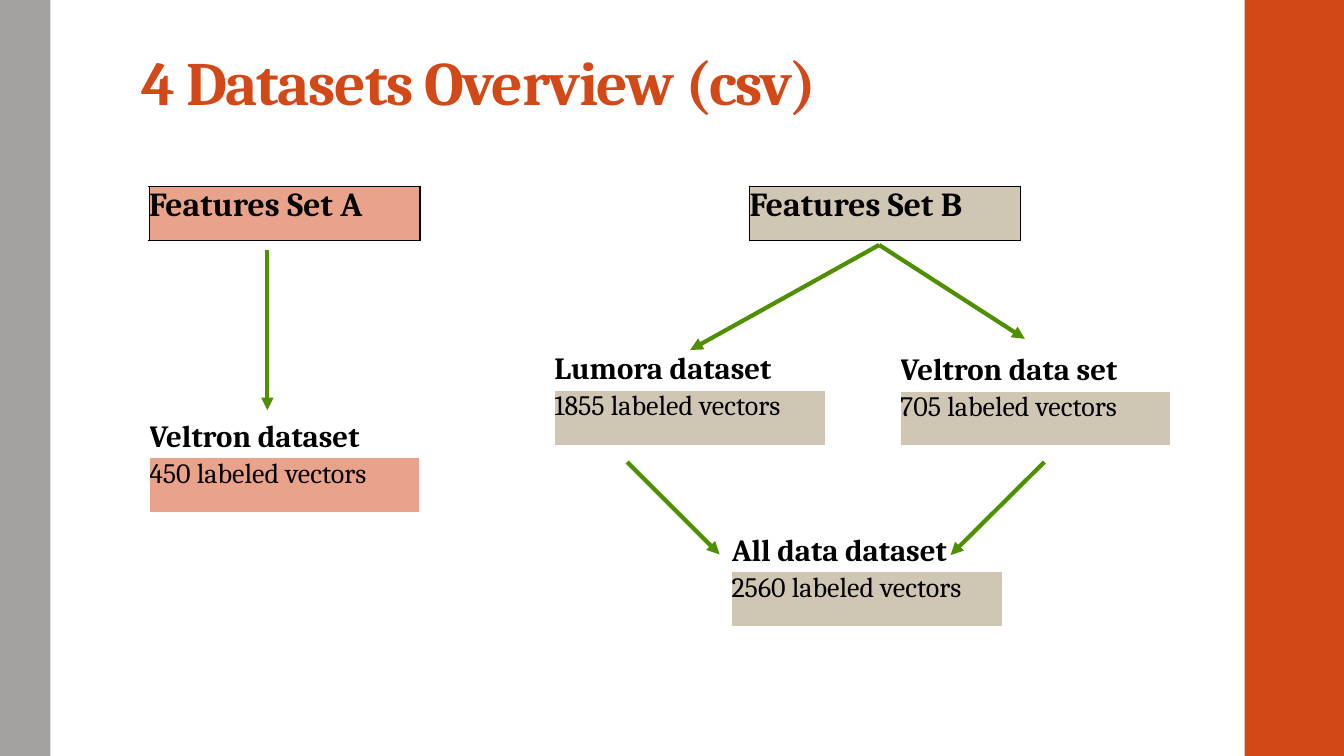
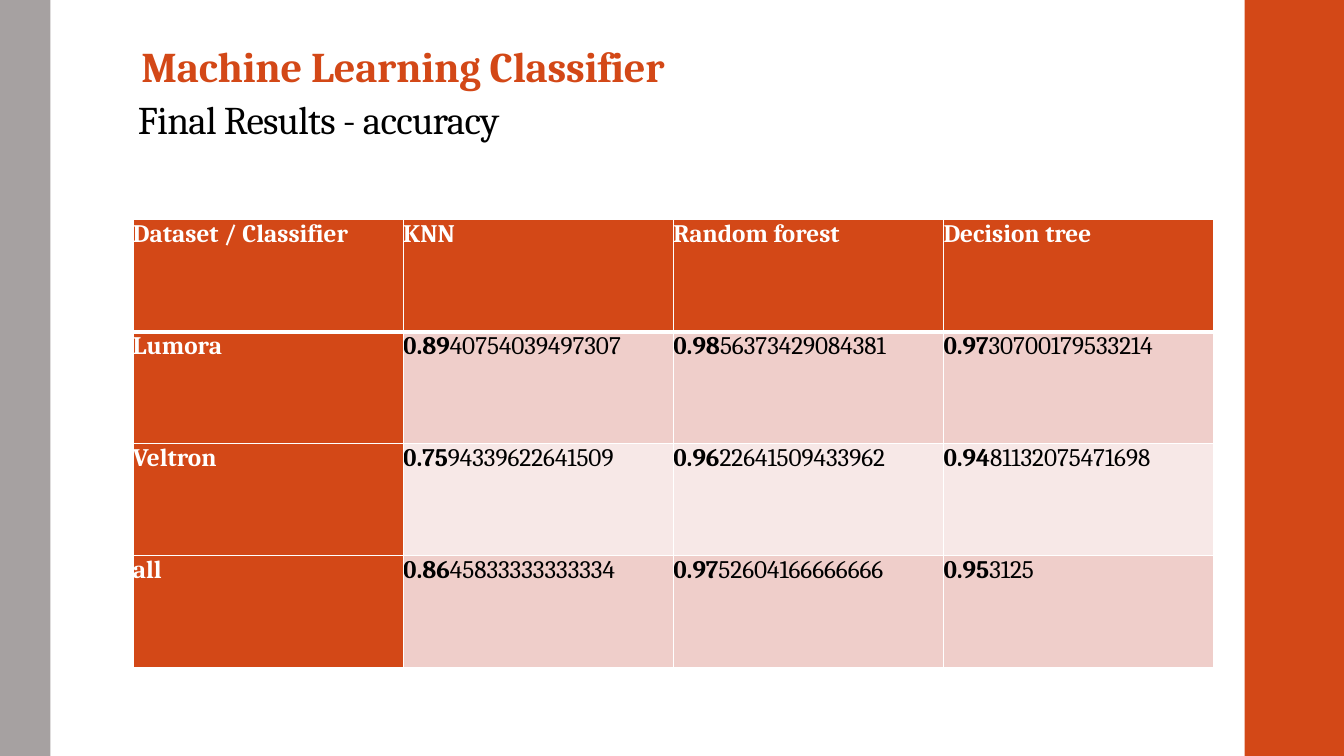
import pptx
import pptx.dml.color
import pptx.enum.shapes
import pptx.enum.text
import pptx.oxml
import pptx.oxml.ns
import pptx.util
from dataclasses import dataclass

Pt = pptx.util.Pt


@dataclass(frozen=True)
class Theme:
    font: str = "Cambria"
    accent: str = "D34817"
    side: str = "A6A1A1"
    ink: str = "000000"
    white: str = "FFFFFF"
    salmon: str = "E9A38B"
    sand: str = "D0C6B4"
    arrow: str = "4F8F00"
    band_dark: str = "EFCECA"
    band_light: str = "F7E8E7"
    title: float = 44
    small_title: float = 30.2
    subtitle: float = 28
    feature_set: float = 24
    dataset: float = 22
    count: float = 20
    results: float = 18


T = Theme()
WIDTH, HEIGHT = 960, 540

BANDS = [(889, 71, T.accent), (0, 36, T.side)]  # left, width, colour

BOX_W, BOX_H, LABEL_H = 193.5, 39, 27.5
FEATURE_SETS = [
    ("Features Set A", 106.5, 133, T.salmon),
    ("Features Set B", 535.5, 133, T.sand),
]
DATASETS = [
    ("Veltron dataset", "450 labeled vectors", 106.5, 299.5, T.salmon),
    ("Lumora dataset", "1855 labeled vectors", 396, 251.5, T.sand),
    ("Veltron data set", "705 labeled vectors", 643, 252, T.sand),
    ("All data dataset", "2560 labeled vectors", 522.5, 381, T.sand),
]
ARROWS = [
    (628, 175, 493, 250),
    (628, 175, 732, 242),
    (746, 330, 679, 396.5),
    (448, 330, 514, 396),
    (191, 178.5, 191, 293),
]

RESULTS_X, RESULTS_Y, RESULTS_COL, RESULTS_ROW = 95, 157, 193, 80
BOLD_CHARS = 4  # leading characters of each accuracy shown in bold
RESULTS = [
    ("Dataset / Classifier", "KNN", "Random forest", "Decision tree"),
    ("Lumora", "0.8940754039497307", "0.9856373429084381", "0.9730700179533214"),
    ("Veltron", "0.7594339622641509", "0.9622641509433962", "0.9481132075471698"),
    ("all", "0.8645833333333334", "0.9752604166666666", "0.953125"),
]


def rgb(color):
    return pptx.dml.color.RGBColor.from_string(color)


def write(p, parts, size, color, spacing=0):
    """Fill a paragraph with (text, bold) parts."""
    p.font.name, p.font.size = T.font, Pt(size)
    p.font.color.rgb = rgb(color)
    for text, bold in parts:
        r = p.add_run()
        r.text, r.font.bold = text, bold
        if spacing:
            r.font._element.set("spc", str(round(spacing * 100)))


def add_text(s, box, text, size, color, bold, anchor, inset, line_spacing, spacing):
    tf = s.shapes.add_textbox(*map(Pt, box)).text_frame
    tf.word_wrap = True
    tf.vertical_anchor = anchor
    tf.margin_left = tf.margin_right = tf.margin_top = tf.margin_bottom = Pt(inset)
    p = tf.paragraphs[0]
    p.line_spacing = line_spacing
    write(p, [(text, bold)], size, color, spacing)


def add_slide(prs, title, size, title_h, line_spacing, spacing):
    """Add a slide with the side bands and a title."""
    s = prs.slides.add_slide(prs.slide_layouts[6])
    for left, width, color in BANDS:
        sp = s.shapes.add_shape(pptx.enum.shapes.MSO_SHAPE.RECTANGLE,
                                Pt(left), 0, Pt(width), Pt(HEIGHT))
        sp.shadow.inherit = False
        sp.fill.solid()
        sp.fill.fore_color.rgb = rgb(color)
        sp.line.fill.background()
    add_text(s, (99, 12, 763, title_h), title, size, T.accent, True,
             pptx.enum.text.MSO_ANCHOR.BOTTOM, 2, line_spacing, spacing)
    return s


def add_grid(s, left, top, col_w, row_heights, cols):
    tbl = s.shapes.add_table(len(row_heights), cols, Pt(left), Pt(top),
                             Pt(col_w * cols), Pt(sum(row_heights))).table
    tbl.first_row = tbl.horz_banding = False
    for col in tbl.columns:
        col.width = Pt(col_w)
    for row, height in zip(tbl.rows, row_heights):
        row.height = Pt(height)
    return tbl


def set_cell(cell, parts, size, color, fill, border, bottom=1):
    cell.margin_left = cell.margin_right = cell.margin_top = cell.margin_bottom = 0
    tc_pr = cell._tc.get_or_add_tcPr()
    for side, width in zip("LRTB", (1, 1, 1, bottom)):
        tc_pr.append(pptx.oxml.parse_xml(
            f'<a:ln{side} {pptx.oxml.ns.nsdecls("a")} w="{Pt(width)}"><a:solidFill>'
            f'<a:srgbClr val="{border}"/></a:solidFill></a:ln{side}>'))
    if fill:
        cell.fill.solid()
        cell.fill.fore_color.rgb = rgb(fill)
    else:
        cell.fill.background()
    write(cell.text_frame.paragraphs[0], parts, size, color)


def add_arrow(s, x1, y1, x2, y2):
    line = s.shapes.add_connector(pptx.enum.shapes.MSO_CONNECTOR.STRAIGHT,
                                  *map(Pt, (x1, y1, x2, y2)))
    line.line.color.rgb = rgb(T.arrow)
    line.line.width = Pt(3)
    ns = pptx.oxml.ns.nsdecls("a")
    line.line._get_or_add_ln().append(
        pptx.oxml.parse_xml(f'<a:tailEnd {ns} type="triangle"/>'))
    line._element.spPr.append(pptx.oxml.parse_xml(f"<a:effectLst {ns}/>"))


def datasets_slide(prs):
    s = add_slide(prs, "4 Datasets Overview (csv)", T.title, 75, 0.9, -1)
    for name, left, top, fill in FEATURE_SETS:
        tbl = add_grid(s, left, top, BOX_W, [BOX_H], 1)
        set_cell(tbl.cell(0, 0), [(name, True)], T.feature_set, T.ink, fill, T.ink)
    for name, count, left, top, fill in DATASETS:
        tbl = add_grid(s, left, top, BOX_W, [LABEL_H, BOX_H], 1)
        set_cell(tbl.cell(0, 0), [(name, True)], T.dataset, T.ink, None, T.white)
        set_cell(tbl.cell(1, 0), [(count, False)], T.count, T.ink, fill, T.white)
    for arrow in ARROWS:
        add_arrow(s, *arrow)


def results_slide(prs):
    s = add_slide(prs, "Machine Learning Classifier", T.small_title, 55, 0.85, -0.2)
    add_text(s, (95, 68, 654, 41), "Final Results - accuracy", T.subtitle, T.ink, False,
             pptx.enum.text.MSO_ANCHOR.TOP, 3.6, 0.9, -0.5)
    tbl = add_grid(s, RESULTS_X, RESULTS_Y, RESULTS_COL,
                   [RESULTS_ROW] * len(RESULTS), len(RESULTS[0]))
    for i, row in enumerate(RESULTS):
        for j, text in enumerate(row):
            if i == 0 or j == 0:
                parts, color, fill = [(text, True)], T.white, T.accent
            else:
                parts = [(text[:BOLD_CHARS], True), (text[BOLD_CHARS:], False)]
                color, fill = T.ink, T.band_dark if i % 2 else T.band_light
            set_cell(tbl.cell(i, j), parts, T.results, color, fill, T.white,
                     bottom=1 if i else 3)


def main():
    prs = pptx.Presentation()
    prs.slide_width, prs.slide_height = Pt(WIDTH), Pt(HEIGHT)
    datasets_slide(prs)
    results_slide(prs)
    prs.save("out.pptx")


if __name__ == "__main__":
    main()
